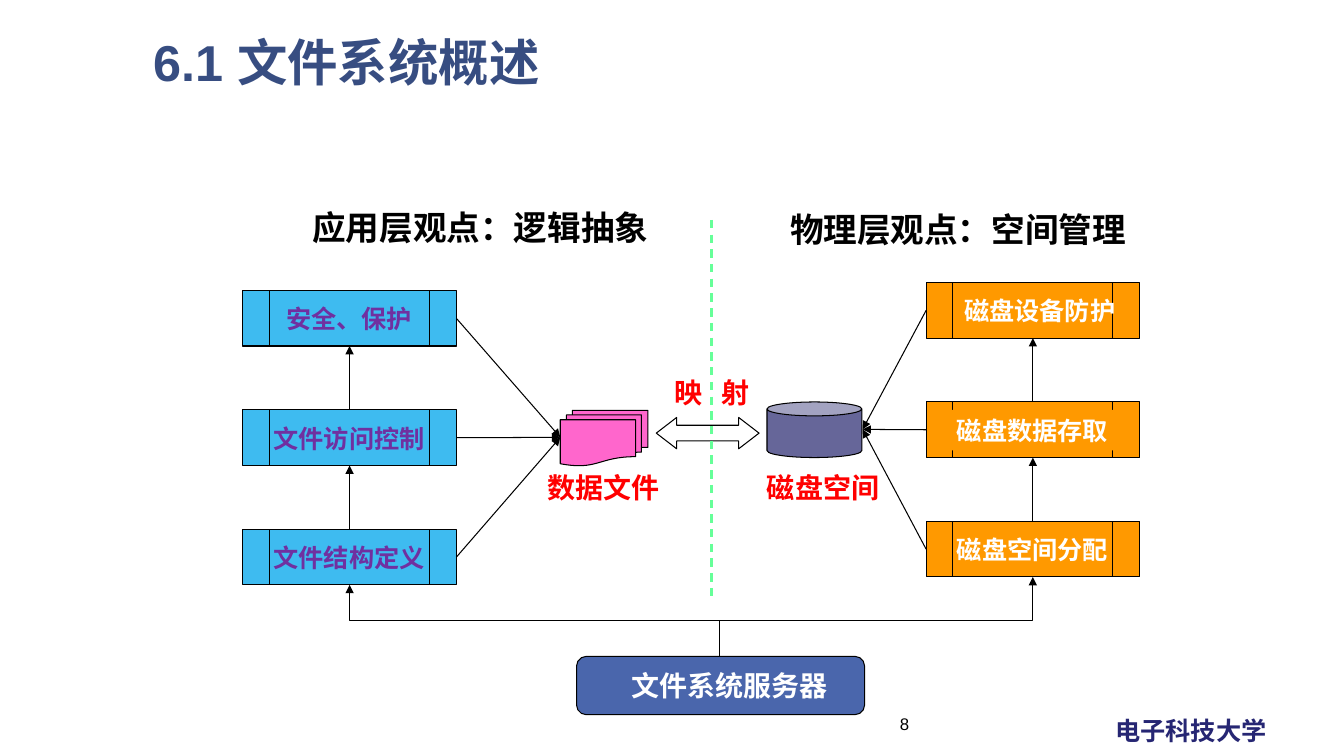
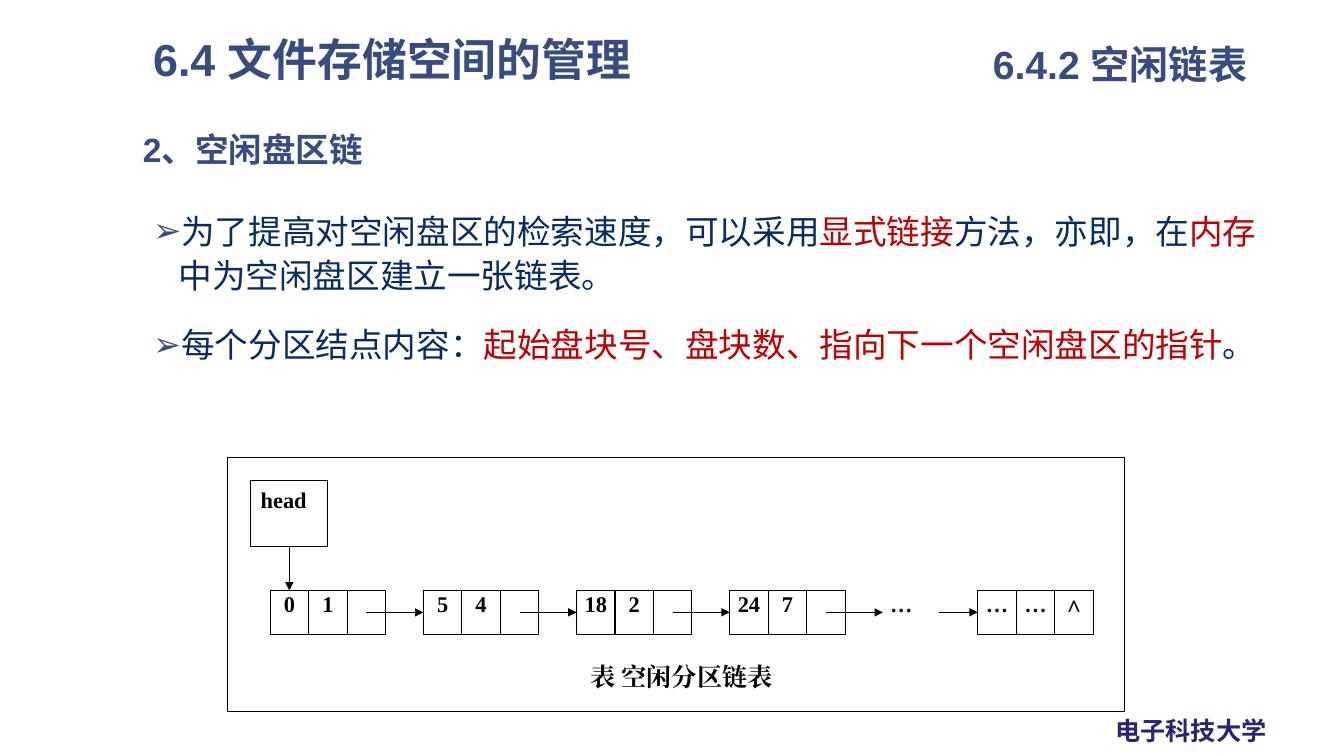
from dataclasses import dataclass

from lxml.etree import SubElement
from pptx import Presentation
from pptx.dml.color import RGBColor
from pptx.enum.dml import MSO_LINE
from pptx.enum.shapes import MSO_CONNECTOR, MSO_SHAPE
from pptx.enum.text import MSO_ANCHOR, PP_ALIGN
from pptx.oxml.ns import qn
from pptx.util import Cm, Pt

COLORS = {
    "title": "374D81", "footer": "262673", "body": "072C62", "accent": "C00000",
    "black": "000000", "white": "FFFFFF", "red": "FF0000", "purple": "7030A0",
    "server": "4A66AC", "app": "3EBBF0", "disk": "FF9900", "file": "FF66CC",
    "can": "666699", "divider": "66FF99",
}
SANS, CJK, SERIF = "Arial", "Noto Sans CJK SC", "Times New Roman"


@dataclass(frozen=True)
class Style:
    size: float
    color: str
    name: str = SANS
    bold: bool = True


@dataclass(frozen=True)
class Box:
    x: float
    y: float
    w: float
    h: float


@dataclass(frozen=True)
class Label:
    text: str
    shift: float = 0
    fill: str | None = None


@dataclass(frozen=True)
class Column:
    x: float
    y: float
    fill: str
    color: str
    edge: float
    target: tuple[float, float]
    labels: tuple[Label, ...]


@dataclass(frozen=True)
class Node:
    x: float
    cells: tuple[str, ...]


CELL = Style(16, "black", SERIF)
BODY = Style(24, "body", CJK, False)
ACCENT = Style(24, "accent", CJK, False)
RED = Style(20, "red")
HEADING = Style(24, "black")
FOOTER = Style(18, "footer", CJK)

STEP_W, STEP_H, STEP_GAP = 5.38, 1.4, 3.01
COLUMNS = (
    Column(6.12, 7.32, "app", "purple", 11.5, (14.12, 11.02),
           (Label("安全、保护"), Label("文件访问控制"), Label("文件结构定义"))),
    Column(23.34, 7.12, "disk", "white", 23.34, (21.74, 10.82),
           (Label("磁盘设备防护", 0.18), Label("磁盘数据存取", 0, "disk"), Label("磁盘空间分配"))),
)
CELL_W, CELL_H, NODE_GAP, NODE_Y = 0.97, 1.1, 3.86, 14.88
CHAIN = tuple(
    Node(6.81 + i * NODE_GAP, (start, count, ""))
    for i, (start, count) in enumerate((("0", "1"), ("5", "4"), ("18", "2"), ("24", "7")))
)
LAST_NODE = Node(24.64, ("…", "…", "∧"))
BULLETS = (
    (("为了提高对空闲盘区的检索速度，可以采用", BODY), ("显式链接", ACCENT),
     ("方法，亦即，在", BODY), ("内存", ACCENT), ("中为空闲盘区建立一张链表。", BODY)),
    (("每个分区结点内容：", BODY),
     ("起始盘块号、盘块数、指向下一个空闲盘区的指针", ACCENT), ("。", BODY)),
)


def rgb(name: str) -> RGBColor:
    return RGBColor.from_string(COLORS[name])


def add_run(p, text: str, style: Style) -> None:
    r = p.add_run()
    r.text = text
    formats = {"size": Pt(style.size), "bold": style.bold, "name": style.name}
    for key, value in formats.items():
        setattr(r.font, key, value)
    r.font.color.rgb = rgb(style.color)
    ea = SERIF if style.name == SERIF else CJK
    SubElement(r.font._element, qn("a:ea")).set("typeface", ea)


def write(sp, text: str, style: Style, wrap: bool = True, inset: float | None = None, **formats):
    tf = sp.text_frame
    tf.word_wrap = wrap
    tf.vertical_anchor = MSO_ANCHOR.TOP
    if inset is not None:
        for side in ("left", "right", "top", "bottom"):
            setattr(tf, f"margin_{side}", Cm(inset))
    p = tf.paragraphs[0]
    for key, value in {"alignment": PP_ALIGN.LEFT, **formats}.items():
        setattr(p, key, value)
    add_run(p, text, style)
    return sp


def add_box(s, box: Box):
    return s.shapes.add_textbox(Cm(box.x), Cm(box.y), Cm(box.w), Cm(box.h))


def add_text(s, box: Box, text: str, style: Style, **formats):
    return write(add_box(s, box), text, style, **formats)


def add_shape(s, kind: MSO_SHAPE, box: Box, fill: str | None = None, line: str | None = "black",
              adjustments: tuple[float, ...] = ()):
    sp = s.shapes.add_shape(kind, Cm(box.x), Cm(box.y), Cm(box.w), Cm(box.h))
    sp.shadow.inherit = False
    for i, value in enumerate(adjustments):
        sp.adjustments[i] = value
    if fill:
        sp.fill.solid()
        sp.fill.fore_color.rgb = rgb(fill)
    else:
        sp.fill.background()
    if line:
        sp.line.color.rgb = rgb(line)
        sp.line.width = Pt(0.75)
    else:
        sp.line.fill.background()
    return sp


def add_line(s, x1: float, y1: float, x2: float, y2: float, color: str = "black",
             width: float = 0.75, arrow: bool = True, kind: MSO_CONNECTOR = MSO_CONNECTOR.STRAIGHT):
    c = s.shapes.add_connector(kind, Cm(x1), Cm(y1), Cm(x2), Cm(y2))
    c.line.color.rgb = rgb(color)
    c.line.width = Pt(width)
    if arrow:
        SubElement(c.line._get_or_add_ln(), qn("a:tailEnd")).set("type", "triangle")
    SubElement(c._element.spPr, qn("a:effectLst"))
    return c


def add_riser(s, x1: float, y1: float, x2: float, y2: float, bend_y: float) -> None:
    cx, cy = (x1 + x2) / 2, (y1 + y2) / 2
    dx, dy = x1 - cx, y1 - cy
    c = add_line(s, cx - dy, cy + dx, cx + dy, cy - dx, kind=MSO_CONNECTOR.ELBOW)
    spPr = c._element.spPr
    spPr.find(qn("a:xfrm")).set("rot", str(270 * 60000))
    geom = spPr.find(qn("a:prstGeom"))
    guides = geom.find(qn("a:avLst"))
    if guides is None:
        guides = SubElement(geom, qn("a:avLst"))
    gd = SubElement(guides, qn("a:gd"))
    gd.set("name", "adj1")
    gd.set("fmla", f"val {round((y1 - bend_y) / (y1 - y2) * 100000)}")


def add_bullet(p) -> None:
    pPr = p._p.get_or_add_pPr()
    pPr.set("marL", str(Cm(0.64)))
    pPr.set("indent", str(-Cm(0.64)))
    SubElement(SubElement(pPr, qn("a:buClr")), qn("a:srgbClr")).set("val", COLORS["title"])
    SubElement(pPr, qn("a:buFont")).set("typeface", SANS)
    SubElement(pPr, qn("a:buChar")).set("char", "➢")


def add_title(s, box: Box, text: str, size: float) -> None:
    add_text(s, box, text, Style(size, "title"), line_spacing=0.9)


def new_slide(prs, title: str, size: float):
    s = prs.slides.add_slide(prs.slide_layouts[6])
    add_text(s, Box(27.86, 17.91, 4.37, 1.02), "电子科技大学", FOOTER, wrap=False)
    add_title(s, Box(3.61, 0.84, 17.15, 1.88), title, size)
    return s


def add_column(s, column: Column) -> None:
    middle = column.x + STEP_W / 2
    for i, label in enumerate(column.labels):
        y = column.y + i * STEP_GAP
        add_shape(s, MSO_SHAPE.FLOWCHART_PREDEFINED_PROCESS,
                  Box(column.x, y, STEP_W, STEP_H), column.fill)
        box = Box(column.x + 0.48 + label.shift, y + 0.2, 4.4, 1.02)
        sp = add_shape(s, MSO_SHAPE.RECTANGLE, box, label.fill, None) if label.fill else add_box(s, box)
        write(sp, label.text, Style(18, column.color), wrap=False, alignment=PP_ALIGN.CENTER)
        add_line(s, column.edge, y + STEP_H / 2, *column.target)
        if i:
            add_line(s, middle, y, middle, y - STEP_GAP + STEP_H)
    bottom = column.y + (len(column.labels) - 1) * STEP_GAP + STEP_H
    add_riser(s, 18.14, 16.54, middle, bottom, 15.63)


def build_overview(prs) -> None:
    s = new_slide(prs, "6.1 文件系统概述", 36)
    number = add_text(s, Box(22.43, 17.35, 5.92, 1.27), "8", Style(12, "black", SANS, False))
    number.text_frame.vertical_anchor = MSO_ANCHOR.BOTTOM

    add_shape(s, MSO_SHAPE.FLOWCHART_ALTERNATE_PROCESS, Box(14.53, 16.54, 7.26, 1.47), "server")
    add_text(s, Box(15.67, 16.71, 5.54, 1.12), "文件系统服务器", Style(20, "white"), wrap=False)
    for column in COLUMNS:
        add_column(s, column)

    add_shape(s, MSO_SHAPE.FLOWCHART_MULTIDOCUMENT, Box(14.12, 10.34, 2.21, 1.4), "file")
    add_shape(s, MSO_SHAPE.CAN, Box(19.33, 10.13, 2.39, 1.4), "can", adjustments=(0.25,))
    add_shape(s, MSO_SHAPE.LEFT_RIGHT_ARROW, Box(16.54, 10.52, 2.59, 0.79), "white",
              adjustments=(0.5, 0.65))
    for x, text in ((13.54, "数据文件"), (19.08, "磁盘空间")):
        add_text(s, Box(x, 11.73, 3.38, 1.12), text, RED, wrap=False)

    mapping = add_text(s, Box(16.74, 9.35, 2.59, 1.12), "映\t射", RED)
    pPr = mapping.text_frame.paragraphs[0]._p.get_or_add_pPr()
    tab = SubElement(SubElement(pPr, qn("a:tabLst")), qn("a:tab"))
    tab.set("pos", str(Cm(1.19)))
    tab.set("algn", "l")

    divider = add_line(s, 17.93, 5.54, 17.93, 15.11, "divider", 1.5, arrow=False)
    divider.line.dash_style = MSO_LINE.DASH
    for x, y, text in ((7.62, 5.08, "应用层观点：逻辑抽象"), (19.66, 5.13, "物理层观点：空间管理")):
        add_text(s, Box(x, y, 9.12, 1.3), text, HEADING, wrap=False)


def add_node(s, node: Node) -> None:
    for i, text in enumerate(node.cells):
        sp = add_shape(s, MSO_SHAPE.RECTANGLE, Box(node.x + i * CELL_W, NODE_Y, CELL_W, CELL_H))
        if text:
            write(sp, text, CELL, inset=0, alignment=PP_ALIGN.CENTER)


def build_free_list(prs) -> None:
    s = new_slide(prs, "6.4 文件存储空间的管理", 32)
    add_title(s, Box(24.77, 1.02, 8.9, 1.7), "6.4.2 空闲链表", 28)
    add_title(s, Box(3.35, 3.25, 20.83, 1.7), "2、空闲盘区链", 24)

    tf = add_box(s, Box(3.61, 5.08, 28.58, 5.92)).text_frame
    tf.word_wrap = True
    for i, runs in enumerate(BULLETS):
        p = tf.add_paragraph() if i else tf.paragraphs[0]
        for key, value in {"line_spacing": 1.1, "space_before": Pt(18 if i else 0)}.items():
            setattr(p, key, value)
        add_bullet(p)
        for text, style in runs:
            add_run(p, text, style)

    add_shape(s, MSO_SHAPE.RECTANGLE, Box(5.74, 11.53, 22.61, 6.4), "white")
    add_text(s, Box(6.81, 16.54, 20.73, 1.78), "表 空闲分区链表", Style(18, "black", SERIF),
             alignment=PP_ALIGN.CENTER)
    head = add_shape(s, MSO_SHAPE.RECTANGLE, Box(6.32, 12.12, 1.93, 1.65))
    write(head, "head", CELL)
    add_line(s, 7.29, 13.77, 7.29, NODE_Y)

    middle = NODE_Y + CELL_H / 2
    for node in CHAIN:
        add_node(s, node)
        add_line(s, node.x + 2.5 * CELL_W, middle, node.x + NODE_GAP, middle)
    add_text(s, Box(22.23, NODE_Y, CELL_W, CELL_H), "…", CELL, inset=0, alignment=PP_ALIGN.CENTER)
    add_line(s, LAST_NODE.x - CELL_W, middle, LAST_NODE.x, middle)
    add_node(s, LAST_NODE)


def main() -> None:
    prs = Presentation()
    prs.slide_width, prs.slide_height = Cm(33.87), Cm(19.05)
    build_overview(prs)
    build_free_list(prs)
    prs.save("out.pptx")


if __name__ == "__main__":
    main()
